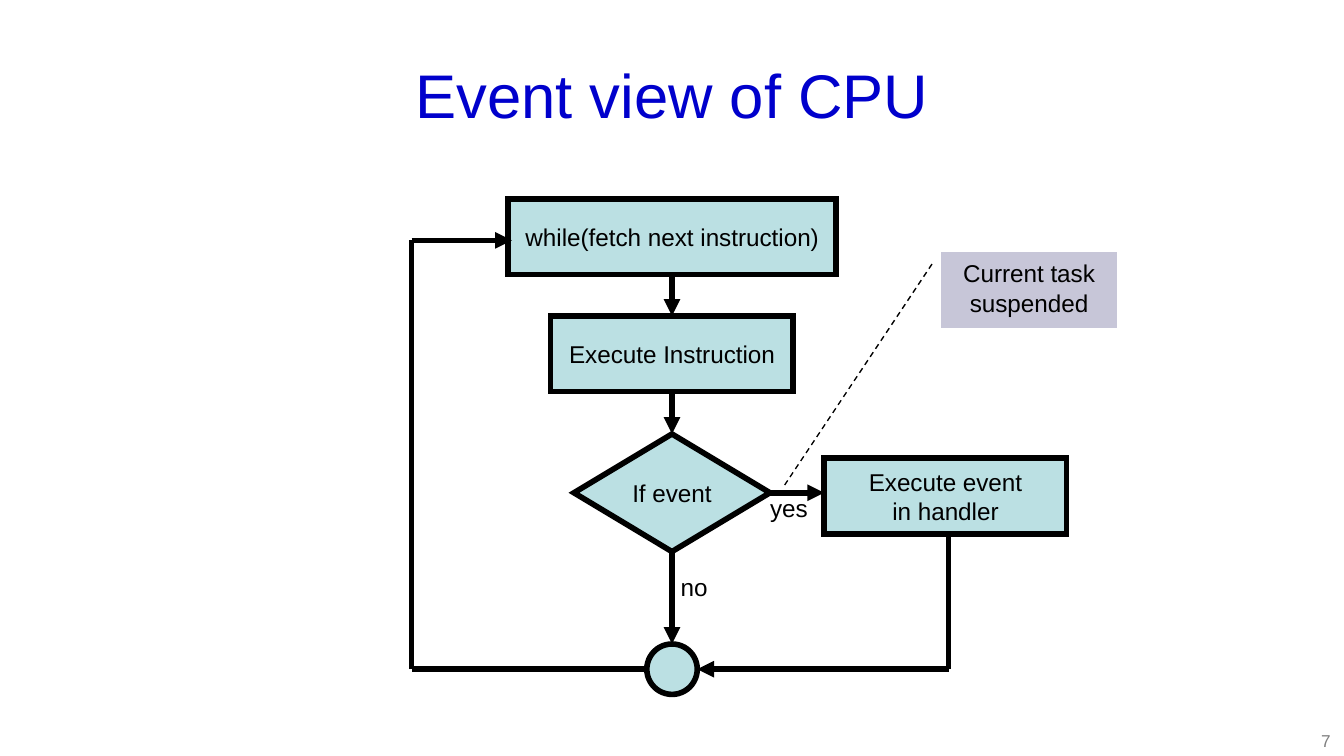
from dataclasses import dataclass

from lxml import etree
from pptx import Presentation
from pptx.dml.color import RGBColor
from pptx.enum.dml import MSO_LINE
from pptx.enum.shapes import MSO_CONNECTOR, MSO_SHAPE
from pptx.enum.text import MSO_ANCHOR, MSO_AUTO_SIZE, PP_ALIGN
from pptx.oxml.ns import qn
from pptx.util import Pt

RECT, DIAMOND, OVAL = MSO_SHAPE.RECTANGLE, MSO_SHAPE.DIAMOND, MSO_SHAPE.OVAL
CALLOUT = MSO_SHAPE.LINE_CALLOUT_1_NO_BORDER
STRAIGHT, DASH = MSO_CONNECTOR.STRAIGHT, MSO_LINE.DASH
LEFT, CENTER, RIGHT = PP_ALIGN.LEFT, PP_ALIGN.CENTER, PP_ALIGN.RIGHT
TOP, MIDDLE = MSO_ANCHOR.TOP, MSO_ANCHOR.MIDDLE
FIXED = MSO_AUTO_SIZE.NONE
COLORS = {"title": "0000CC", "node": "BBE0E3", "note": "C7C6D8",
          "ink": "000000", "page": "808080"}
FONT, SIZE = "Arial", 13
AXIS = 360  # centre line of the main flow
TEST_Y, LOOP_Y, BACK_Y = 264, 358.5, 128.75
LOOP_X, EXIT_X = 220.5, 508.25
ROUND_W = 27


@dataclass
class Node:
    name: str
    kind: int
    mid: float
    top: float
    width: float
    height: float
    lines: tuple[str, ...] = ()


@dataclass
class Link:
    start: tuple[float, float]
    end: tuple[float, float]
    arrow: bool = True
    source: tuple[str, int] | None = None
    target: tuple[str, int] | None = None


@dataclass
class Label:
    text: str
    left: float
    top: float
    width: float
    height: float
    align: int = LEFT
    size: float = SIZE
    color: str = "ink"


NODES = [
    Node("fetch", RECT, AXIS, 106.5, 176, 40.5, ("while(fetch next instruction)",)),
    Node("run", RECT, AXIS, 169.25, 130, 40.5, ("Execute Instruction",)),
    Node("test", DIAMOND, AXIS, TEST_Y - 31.5, 105, 63, ("If event",)),
    Node("event", RECT, 506.5, 245.5, 130, 40.5, ("Execute event", "in handler")),
    Node("join", OVAL, AXIS, LOOP_Y - ROUND_W / 2, ROUND_W, ROUND_W),
]
LINKS = [
    Link((AXIS, 147), (AXIS, 169.25), True, ("fetch", 2), ("run", 0)),
    Link((AXIS, 209.75), (AXIS, 232.5), True, ("run", 2), ("test", 0)),
    Link((AXIS, 295.5), (AXIS, 345), True, ("test", 2), ("join", 0)),
    Link((412.5, TEST_Y), (441.5, TEST_Y), True, ("test", 3)),
    Link((EXIT_X, 286), (EXIT_X, LOOP_Y), False),
    Link((EXIT_X, LOOP_Y), (AXIS + ROUND_W / 2, LOOP_Y)),
    Link((AXIS - ROUND_W / 2, LOOP_Y), (LOOP_X, LOOP_Y), False),
    Link((LOOP_X, LOOP_Y), (LOOP_X, BACK_Y), False),
    Link((LOOP_X, BACK_Y), (274.25, BACK_Y)),
]
LABELS = [
    Label("no", 357.5, 303.25, 29, 23),
    Label("yes", 405.5, 260.75, 34.5, 23),
    Label("7", 552, 387.5, 168, 19.5, RIGHT, 9.2, "page"),
]


def color(name: str) -> RGBColor:
    return RGBColor.from_string(COLORS[name])


def write(frame, lines: tuple[str, ...], size: float = SIZE, ink: str = "ink",
          align: int = CENTER, anchor: int = MIDDLE, wrap: bool = False) -> None:
    frame.word_wrap = wrap
    frame.auto_size = FIXED
    frame.vertical_anchor = anchor
    for i, line in enumerate(lines):
        para = frame.add_paragraph() if i else frame.paragraphs[0]
        para.alignment = align
        run = para.add_run()
        run.text = line
        run.font.name, run.font.size = FONT, Pt(size)
        run.font.color.rgb = color(ink)


def stroke(shape, width: float = 3) -> None:
    """Set a black outline with sharp corners."""
    shape.line.color.rgb = color("ink")
    shape.line.width = Pt(width)
    line = shape._element.spPr.find(qn("a:ln"))
    etree.SubElement(line, qn("a:miter"), lim="800000")


def draw_node(slide, node: Node):
    shape = slide.shapes.add_shape(
        node.kind, Pt(node.mid - node.width / 2), Pt(node.top),
        Pt(node.width), Pt(node.height))
    shape.shadow.inherit = False
    shape.fill.solid()
    shape.fill.fore_color.rgb = color("node")
    stroke(shape)
    if node.lines:
        write(shape.text_frame, node.lines)
    return shape


def draw_link(slide, link: Link, nodes: dict) -> None:
    line = slide.shapes.add_connector(
        STRAIGHT, *(Pt(v) for v in link.start + link.end))
    stroke(line)
    props = line._element.spPr
    if link.arrow:
        etree.SubElement(props.find(qn("a:ln")), qn("a:tailEnd"), type="triangle")
    etree.SubElement(props, qn("a:effectLst"))
    if link.source:
        line.begin_connect(nodes[link.source[0]], link.source[1])
    if link.target:
        line.end_connect(nodes[link.target[0]], link.target[1])


def draw_label(slide, label: Label) -> None:
    box = slide.shapes.add_textbox(
        Pt(label.left), Pt(label.top), Pt(label.width), Pt(label.height))
    write(box.text_frame, (label.text,), label.size, label.color,
          label.align, TOP, label.align == RIGHT)


def draw_note(slide) -> None:
    """Add the callout whose dashed leader points at the yes branch."""
    note = slide.shapes.add_shape(CALLOUT, Pt(504), Pt(135), Pt(94.5), Pt(40.5))
    for i, ratio in enumerate((0.16, -0.05, 3.1, -0.89)):
        note.adjustments[i] = ratio
    note.shadow.inherit = False
    note.fill.solid()
    note.fill.fore_color.rgb = color("note")
    note.line.color.rgb = color("ink")
    note.line.width = Pt(0.75)
    note.line.dash_style = DASH
    write(note.text_frame, ("Current task suspended",), anchor=TOP, wrap=True)


def main() -> None:
    deck = Presentation()
    deck.slide_width, deck.slide_height = Pt(720), Pt(405)
    slide = deck.slides.add_slide(deck.slide_layouts[5])
    title = slide.shapes.title
    title.left, title.top, title.width, title.height = Pt(36), Pt(16.5), Pt(648), Pt(68)
    write(title.text_frame, ("Event view of CPU",), 33, "title", wrap=True)
    nodes = {node.name: draw_node(slide, node) for node in NODES}
    for link in LINKS:
        draw_link(slide, link, nodes)
    for label in LABELS:
        draw_label(slide, label)
    draw_note(slide)
    deck.save("out.pptx")


if __name__ == "__main__":
    main()
